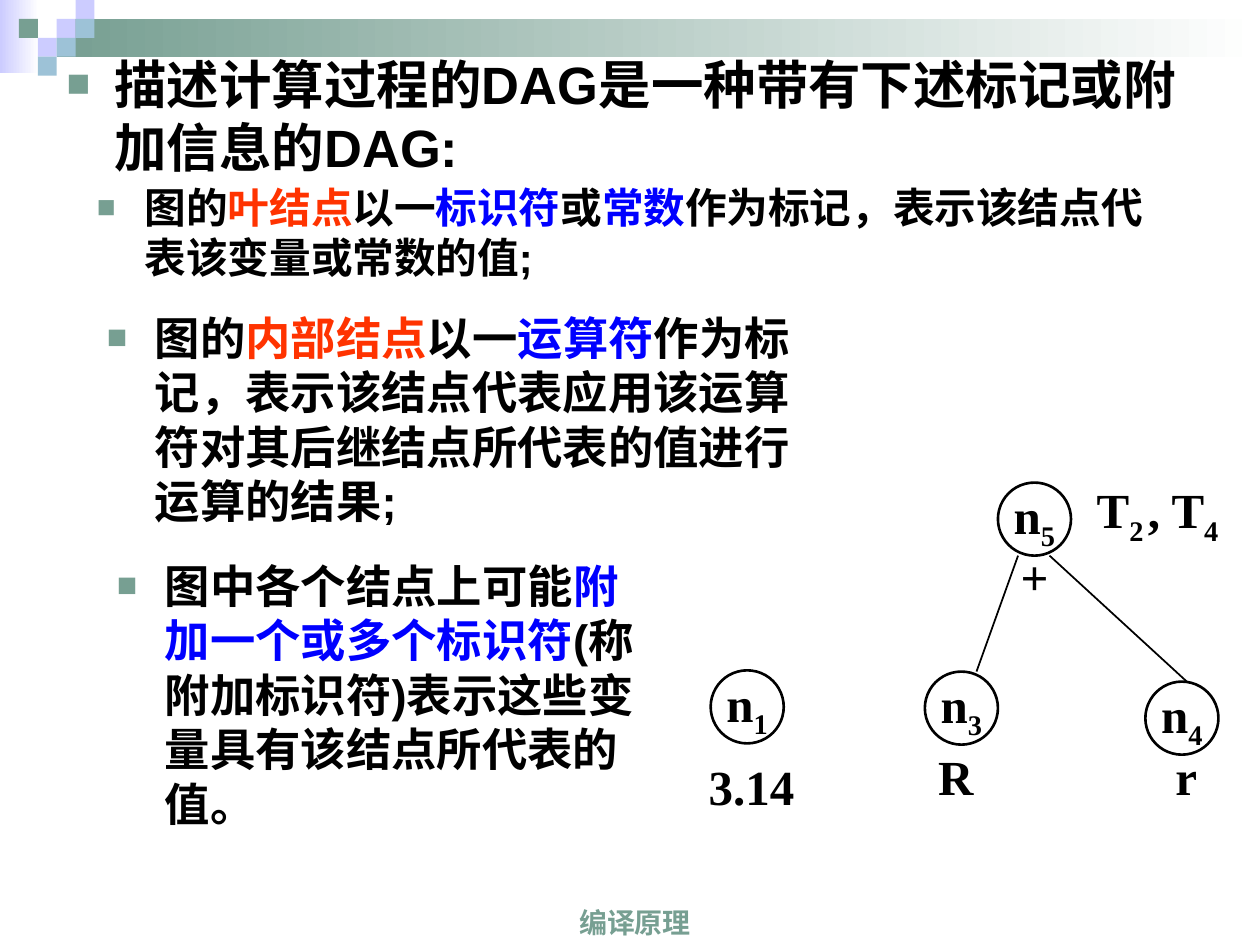
from lxml import etree
from pptx import Presentation
from pptx.dml.color import RGBColor
from pptx.enum.shapes import MSO_CONNECTOR, MSO_SHAPE
from pptx.enum.text import MSO_ANCHOR, PP_ALIGN
from pptx.oxml.ns import qn
from pptx.util import Inches, Pt

GREEN, LILAC, SKY, WHITE = "779F92", "CCCCFF", "9DC2D7", "FFFFFF"
BLACK, RED, BLUE = "000000", "FF3300", "0000FF"
SERIF = "Times New Roman"


def color(value):
    return RGBColor.from_string(value)


def add_bullet(paragraph):
    properties = paragraph._p.get_or_add_pPr()
    properties.set("marL", str(Inches(0.38)))
    properties.set("indent", str(Inches(-0.38)))
    tint = etree.SubElement(properties, qn("a:buClr"))
    etree.SubElement(tint, qn("a:srgbClr")).set("val", GREEN)
    etree.SubElement(properties, qn("a:buSzPct")).set("val", "75000")
    etree.SubElement(properties, qn("a:buFont")).set("typeface", "Arial")
    etree.SubElement(properties, qn("a:buChar")).set("char", "■")


def write(shape, text, size=28, font=SERIF, fill=BLACK, sub="", side_inset=0.1,
          align=PP_ALIGN.CENTER, anchor=MSO_ANCHOR.MIDDLE, wrap=False, bullet=False):
    frame = shape.text_frame
    frame.word_wrap = wrap
    frame.vertical_anchor = anchor
    frame.margin_left = frame.margin_right = Inches(side_inset)
    paragraph = frame.paragraphs[0]
    paragraph.alignment = align
    if bullet:
        add_bullet(paragraph)
    parts = [(text, fill)] if isinstance(text, str) else text
    for words, tint in parts + ([(sub, fill)] if sub else []):
        run = paragraph.add_run()
        run.text = words
        run.font.size = Pt(size)
        run.font.name = font
        run.font.bold = True
        run.font.color.rgb = color(tint)
    if sub:
        run._r.get_or_add_rPr().set("baseline", "-25000")


def add_text(slide, box, text, **style):
    write(slide.shapes.add_textbox(*map(Inches, box)), text, **style)


def add_block(slide, box, fill, fade=False):
    block = slide.shapes.add_shape(MSO_SHAPE.RECTANGLE, *map(Inches, box))
    block.shadow.inherit = False
    block.line.fill.background()
    if fade:
        block.fill.gradient()
        block.fill.gradient_angle = 0
        for stop, tint in zip(block.fill.gradient_stops, (fill, WHITE)):
            stop.color.rgb = color(tint)
    else:
        block.fill.solid()
        block.fill.fore_color.rgb = color(fill)


def add_banner(slide, left, top, width):
    tile = 0.15
    add_block(slide, (left, top, 0.31, 0.58), LILAC, fade=True)
    add_block(slide, (left + 3 * tile, top + tile, width - 3 * tile, 2 * tile), GREEN, fade=True)
    tiles = [(3, 1, LILAC), (4, 0, LILAC), (4, 1, SKY), (2, 2, LILAC),
             (1, 1, GREEN), (3, 2, SKY), (2, 3, SKY)]
    for column, row, fill in tiles:
        add_block(slide, (left + column * tile, top + row * tile, tile, tile), fill)


def add_point(slide, box, parts, size):
    add_text(slide, box, parts, size=size, font="Arial", align=PP_ALIGN.LEFT,
             anchor=MSO_ANCHOR.TOP, wrap=True, bullet=True)


def add_node(slide, left, top, index):
    node = slide.shapes.add_shape(MSO_SHAPE.OVAL, Inches(left), Inches(top),
                                  Inches(0.58), Inches(0.58))
    node.shadow.inherit = False
    node.fill.background()
    node.line.color.rgb = color(BLACK)
    node.line.width = Pt(1.5)
    write(node, "n", sub=index)


def add_edge(slide, start, end):
    edge = slide.shapes.add_connector(MSO_CONNECTOR.STRAIGHT, *map(Inches, start + end))
    edge.line.color.rgb = color(BLACK)
    edge.line.width = Pt(1)
    etree.SubElement(edge._element.spPr, qn("a:effectLst"))


def add_dag(slide, left, top):
    for x, y, index in [(0, 1.49, "1"), (1.7, 1.5, "3"), (3.45, 1.58, "4"), (2.28, 0, "5")]:
        add_node(slide, left + x, top + y, index)
    root_bottom = top + 0.58
    add_edge(slide, (left + 2.44, root_bottom), (left + 2.11, top + 1.5))
    add_edge(slide, (left + 2.69, root_bottom), (left + 3.78, top + 1.58))
    labels = [(-0.09, 2.24, 0.83, "3.14", ""), (1.53, 2.16, 0.83, "R", ""),
              (3.36, 2.16, 0.83, "r", ""), (2.36, 0.58, 0.42, "+", ""),
              (2.96, 0.08, 0.58, "T", "2"), (3.4, 0.08, 0.7, ", T", "4")]
    for x, y, width, label, index in labels:
        add_text(slide, (left + x, top + y, width, 0.33), label, sub=index, side_inset=0)


def main():
    deck = Presentation()
    deck.slide_width, deck.slide_height = Inches(10), Inches(7.5)
    slide = deck.slides.add_slide(deck.slide_layouts[6])
    add_banner(slide, 0, 0, 10)
    add_text(slide, (3.27, 7, 3.54, 0.5), "编译原理", size=16, font="Arial",
             fill=GREEN, anchor=MSO_ANCHOR.BOTTOM, wrap=True)
    add_point(slide, (0.43, 0.36, 9.23, 1.12),
              "描述计算过程的DAG是一种带有下述标记或附加信息的DAG:", 30)
    add_dag(slide, 5.64, 3.83)
    add_point(slide, (0.67, 1.39, 8.82, 0.95), [
        ("图的", BLACK), ("叶结点", RED), ("以一", BLACK), ("标识符", BLUE), ("或", BLACK),
        ("常数", BLUE), ("作为标记，表示该结点代表该变量或常数的值;", BLACK)], 23.8)
    add_point(slide, (0.75, 2.41, 5.91, 1.89), [
        ("图的", BLACK), ("内部结点", RED), ("以一", BLACK), ("运算符", BLUE),
        ("作为标记，表示该结点代表应用该运算符对其后继结点所代表的值进行运算的结果;", BLACK)], 25.9)
    add_point(slide, (0.83, 4.38, 4.33, 2.36), [
        ("图中各个结点上可能", BLACK), ("附加一个或多个标识符", BLUE),
        ("(称附加标识符)表示这些变量具有该结点所代表的值。", BLACK)], 25.9)
    deck.save("out.pptx")


if __name__ == "__main__":
    main()
